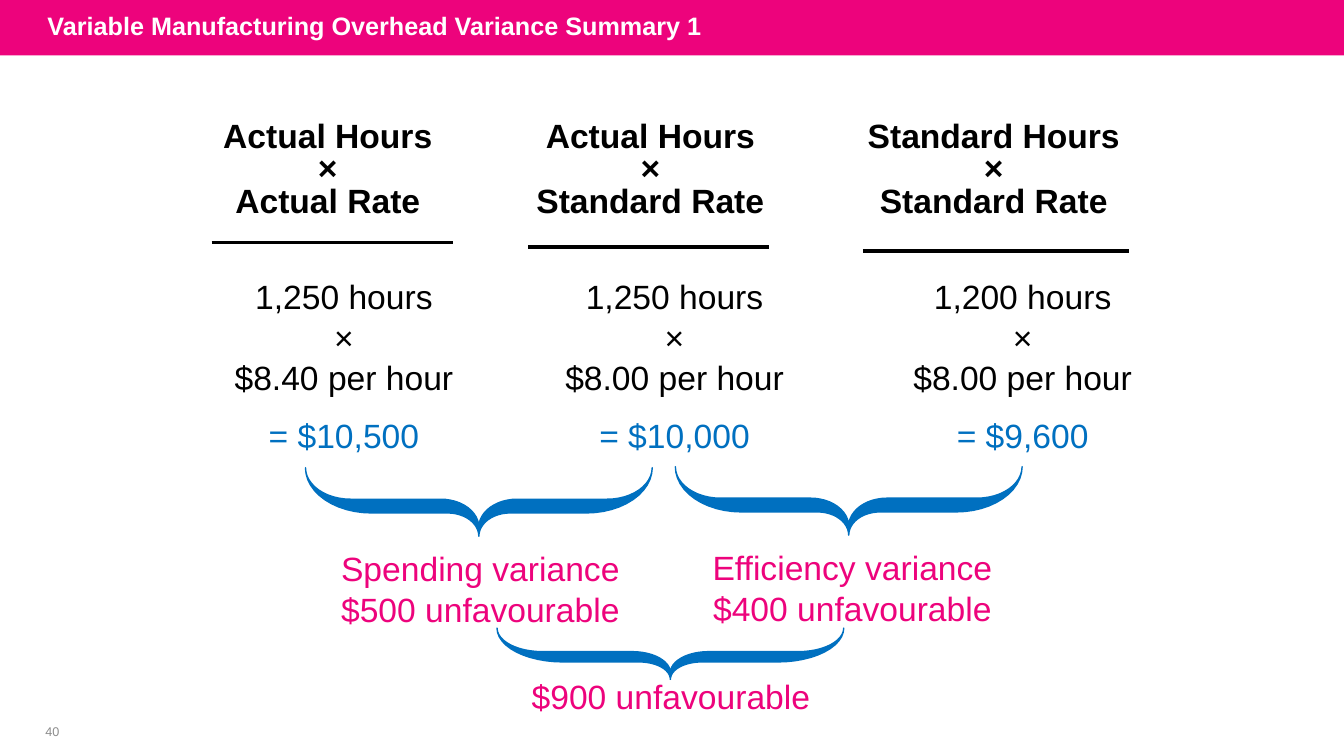
import math
from dataclasses import dataclass

from lxml import etree
from pptx import Presentation
from pptx import util as u
from pptx.dml.color import RGBColor
from pptx.enum import shapes, text
from pptx.oxml.ns import qn


@dataclass(frozen=True)
class Theme:
    font: str = "Arial"
    pink: str = "ED037C"
    blue: str = "0070C0"
    ink: str = "000000"
    grey: str = "8C8C8C"
    white: str = "FFFFFF"
    title: float = 18
    body: float = 24
    small: float = 9
    rule: float = 2.25


THEME = Theme()
INSET = u.Inches(0.1)

prs = Presentation()
prs.slide_width, prs.slide_height = u.Inches(13.33), u.Inches(7.5)


def across(percent):
    return u.Emu(round(prs.slide_width * percent / 100))


def down(percent):
    return u.Emu(round(prs.slide_height * percent / 100))


def place(box):
    """Turn left, top, width, height in percent of the slide into lengths."""
    left, top, width, height = box
    return across(left), down(top), across(width), down(height)


def color(value):
    return RGBColor.from_string(value)


def write(paragraph, lines, tint, size=THEME.body, bold=False):
    for index, line in enumerate(lines):
        if index:
            paragraph.add_line_break()
        run = paragraph.add_run()
        run.text = line
        run.font.name, run.font.size, run.font.bold = THEME.font, u.Pt(size), bold
        run.font.color.rgb = color(tint)


def add_text_frame(slide, box):
    frame = slide.shapes.add_textbox(*place(box)).text_frame
    frame.word_wrap = True
    return frame


def set_column_tabs(paragraph, box, centres):
    tabs = etree.SubElement(paragraph._p.get_or_add_pPr(), qn("a:tabLst"))
    for centre in centres:
        position = across(centre - box[0]) - INSET
        etree.SubElement(tabs, qn("a:tab"), pos=str(position), algn="ctr")


def tabbed(rows):
    return ["\t" + "\t".join(row) for row in rows]


def add_title_band(slide, box, title_text):
    band = slide.shapes.add_shape(shapes.MSO_SHAPE.RECTANGLE, *place(box))
    band.shadow.inherit = False
    band.fill.solid()
    band.fill.fore_color.rgb = color(THEME.pink)
    band.line.fill.background()
    slide.shapes._spTree.insert(2, band._element)  # behind the title

    title = slide.shapes.title
    title.left, title.top, title.width, title.height = place((2.78, 0, 78.75, 6.6))
    frame = title.text_frame
    frame.vertical_anchor = text.MSO_ANCHOR.MIDDLE
    paragraph = frame.paragraphs[0]
    paragraph.alignment = text.PP_ALIGN.LEFT
    write(paragraph, [title_text], THEME.white, THEME.title, bold=True)


def add_headings(slide, box, centres, rows):
    paragraph = add_text_frame(slide, box).paragraphs[0]
    set_column_tabs(paragraph, box, centres)
    paragraph.line_spacing = 0.8
    write(paragraph, tabbed(rows), THEME.ink, bold=True)


def add_heading_rule(slide, left, right, y):
    rule = slide.shapes.add_connector(shapes.MSO_CONNECTOR.STRAIGHT,
                                      across(left), down(y), across(right), down(y))
    rule.line.color.rgb = color(THEME.ink)
    rule.line.width = u.Pt(THEME.rule)
    etree.SubElement(rule._element.spPr, qn("a:effectLst"))


def add_amounts(slide, box, centres, factors, totals):
    frame = add_text_frame(slide, box)
    factor_lines, total_line = frame.paragraphs[0], frame.add_paragraph()
    for paragraph in (factor_lines, total_line):
        set_column_tabs(paragraph, box, centres)
    total_line.space_before = u.Pt(13)
    write(factor_lines, tabbed(factors), THEME.ink)
    write(total_line, tabbed([totals]), THEME.blue)


def brace_edge(bend_x, bend_y, turn_x, end_y, steps=12):
    """Left half of one edge: a curve from the tip, a bar, a curve to the point."""
    angles = [math.pi / 2 * step / steps for step in range(steps + 1)]
    outer = [(bend_x * (1 - math.cos(a)), bend_y * math.sin(a)) for a in angles]
    inner = [(turn_x + (0.5 - turn_x) * math.sin(a),
              bend_y + (end_y - bend_y) * (1 - math.cos(a))) for a in angles]
    return outer + inner


def add_brace(slide, box):
    left, top, width, height = place(box)
    upper = brace_edge(0.13, 0.46, 0.39, 0.87)
    lower = brace_edge(0.19, 0.66, 0.41, 1)

    def mirror(edge):
        return [(1 - x, y) for x, y in reversed(edge)]

    outline = upper + mirror(upper) + mirror(lower)[::-1] + lower[::-1]
    points = [(round(left + x * width), round(top + y * height)) for x, y in outline]
    builder = slide.shapes.build_freeform(*points[0])
    builder.add_line_segments(points[1:], close=True)
    brace = builder.convert_to_shape()
    brace.shadow.inherit = False
    brace.fill.solid()
    brace.fill.fore_color.rgb = color(THEME.blue)
    brace.line.color.rgb = color(THEME.blue)
    brace.line.width = u.Pt(1)


def add_variance(slide, brace_box, label_box, lines):
    add_brace(slide, brace_box)
    paragraph = add_text_frame(slide, label_box).paragraphs[0]
    paragraph.alignment = text.PP_ALIGN.CENTER
    write(paragraph, lines, THEME.pink)


def add_page_number(slide, box, number):
    frame = add_text_frame(slide, box)
    frame.vertical_anchor = text.MSO_ANCHOR.MIDDLE
    frame.paragraphs[0].alignment = text.PP_ALIGN.CENTER
    write(frame.paragraphs[0], [number], THEME.grey, THEME.small)


def build_variance_slide():
    slide = prs.slides.add_slide(prs.slide_layouts[5])
    add_title_band(slide, (0, 0, 100, 7.33),
                   "Variable Manufacturing Overhead Variance Summary 1")

    # Three columns: headings, rules, amounts
    add_headings(slide, (14.1, 15.6, 71.85, 14.27), (24.4, 48.4, 73.95), [
        ("Actual Hours", "Actual Hours", "Standard Hours"),
        ("×", "×", "×"),
        ("Actual Rate", "Standard Rate", "Standard Rate"),
    ])
    for left, right, y in ((15.75, 33.68, 32.13), (39.3, 57.23, 32.67), (64.2, 84, 33.2)):
        add_heading_rule(slide, left, right, y)
    add_amounts(slide, (16.35, 35.87, 70.58, 25.47), (25.6, 50.2, 76.1), [
        ("1,250 hours", "1,250 hours", "1,200 hours"),
        ("×", "×", "×"),
        ("$8.40 per hour", "$8.00 per hour", "$8.00 per hour"),
    ], ("= $10,500", "= $10,000", "= $9,600"))

    # Variances between columns, then their sum
    add_variance(slide, (22.73, 61.87, 25.8, 9.07), (19.8, 71.87, 31.88, 12.13),
                 ["Spending variance", "$500 unfavourable"])
    add_variance(slide, (50.25, 61.73, 25.8, 9.07), (47.48, 71.73, 31.88, 12.13),
                 ["Efficiency variance", "$400 unfavourable"])
    add_variance(slide, (36.98, 83.07, 25.8, 6.8), (33.98, 88.8, 31.88, 6.67),
                 ["$900 unfavourable"])

    add_page_number(slide, (1.95, 95.2, 3.9, 3.2), "40")


if __name__ == "__main__":
    build_variance_slide()
    prs.save("out.pptx")
